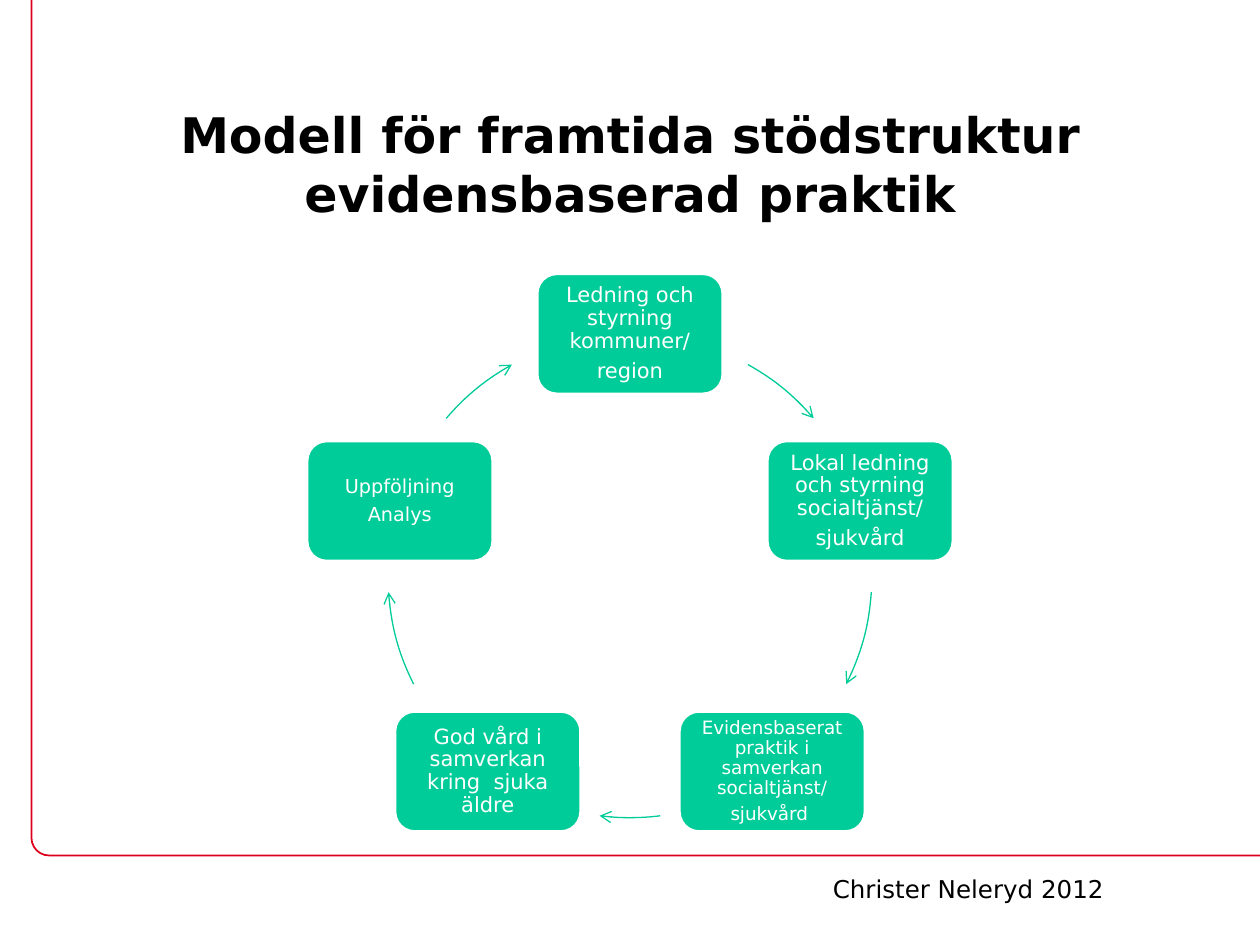
from math import cos, radians, sin

from lxml.etree import SubElement
from pptx import Presentation
from pptx.dml.color import RGBColor
from pptx.enum.shapes import MSO_SHAPE
from pptx.enum.text import MSO_ANCHOR, PP_ALIGN
from pptx.oxml.ns import qn
from pptx.util import Inches, Pt

GREEN, RED, WHITE, BLACK = "00CC99", "DC001A", "FFFFFF", "000000"
CENTER_X, CENTER_Y, RADIUS = 5, 4.57, 1.92
NODE_WIDTH, NODE_HEIGHT = 1.48, 0.96

# Steps of the cycle, clockwise from the top: text size and paragraphs
STEPS = [
    (12, ["Ledning och styrning kommuner/", "region"]),
    (12, ["Lokal ledning och styrning socialtjänst/", "sjukvård"]),
    (10.5, ["Evidensbaserat praktik i samverkan socialtjänst/", "sjukvård "]),
    (12, ["God vård i samverkan kring  sjuka äldre"]),
    (11, ["Uppföljning", "Analys"]),
]
# Start and end angle of the arrow after each step, in degrees
ARROWS = [(299.2, 319.4), (3.9, 26.6), (82.8, 97.2), (153.4, 176.1), (220.6, 240.8)]


def color(value):
    """Turn a hex string into a colour."""
    return RGBColor.from_string(value)


def set_all(target, values):
    """Set every attribute in a dict of format values."""
    for name, value in values.items():
        setattr(target, name, value)


class SlideBuilder:
    """Holds the style and the current slide."""

    font = "DejaVu Sans"

    def __init__(self, slide):
        self.slide = slide

    def shape(self, kind, box, fill=None, line=RED, width=1):
        """Add a preset shape without shadow."""
        shape = self.slide.shapes.add_shape(kind, *map(Inches, box))
        shape.shadow.inherit = False
        if fill:
            shape.fill.solid()
            shape.fill.fore_color.rgb = color(fill)
        else:
            shape.fill.background()
        shape.line.color.rgb = color(line)
        shape.line.width = Pt(width)
        return shape

    def fill_text(self, shape, texts, frame_format, paragraph_format, size, ink, bold=False):
        """Fill a shape with one paragraph for each text."""
        frame = shape.text_frame
        set_all(frame, {"word_wrap": True, **frame_format})
        for index, text in enumerate(texts):
            paragraph = frame.add_paragraph() if index else frame.paragraphs[0]
            set_all(paragraph, paragraph_format)
            run = paragraph.add_run()
            run.text = text
            set_all(run.font, {"name": self.font, "size": Pt(size), "bold": bold})
            run.font.color.rgb = color(ink)

    def text(self, box, text, size, align, anchor=MSO_ANCHOR.TOP, bold=False):
        """Add a text box."""
        shape = self.slide.shapes.add_textbox(*map(Inches, box))
        self.fill_text(shape, [text], {"vertical_anchor": anchor},
                       {"alignment": align}, size, BLACK, bold)

    def node(self, angle, size, texts):
        """Add a rounded box centred on the circle at an angle."""
        left = CENTER_X + RADIUS * cos(radians(angle)) - NODE_WIDTH / 2
        top = CENTER_Y + RADIUS * sin(radians(angle)) - NODE_HEIGHT / 2
        shape = self.shape(MSO_SHAPE.ROUNDED_RECTANGLE,
                           (left, top, NODE_WIDTH, NODE_HEIGHT), GREEN, WHITE, 2)
        margins = dict.fromkeys(
            ("margin_left", "margin_right", "margin_top", "margin_bottom"), 0)
        self.fill_text(shape, texts, {"vertical_anchor": MSO_ANCHOR.MIDDLE, **margins},
                       {"alignment": PP_ALIGN.CENTER, "line_spacing": 0.9,
                        "space_after": Pt(0.35 * size)}, size, WHITE)

    def arrow(self, start, end):
        """Add a clockwise arc on the circle with an arrowhead."""
        box = (CENTER_X - RADIUS, CENTER_Y - RADIUS, 2 * RADIUS, 2 * RADIUS)
        arc = self.shape(MSO_SHAPE.ARC, box, line=GREEN, width=0.75)
        for index, angle in enumerate((start, end)):
            arc.adjustments[index] = angle * 0.6  # 60000 units per degree
        line = arc.element.spPr.find(qn("a:ln"))
        SubElement(line, qn("a:tailEnd"), type="arrow")


def main():
    """Build the slide and save it."""
    presentation = Presentation()
    presentation.slide_width, presentation.slide_height = Inches(10), Inches(7.5)
    builder = SlideBuilder(presentation.slides.add_slide(presentation.slide_layouts[6]))

    frame = builder.shape(MSO_SHAPE.ROUNDED_RECTANGLE, (0.25, -0.17, 9.92, 6.96))
    frame.adjustments[0] = 0.02
    builder.text((0.75, 0.67, 8.5, 1.25),
                 "Modell för framtida stödstruktur evidensbaserad praktik",
                 28, PP_ALIGN.CENTER, MSO_ANCHOR.MIDDLE, True)
    for index, ((size, texts), angles) in enumerate(zip(STEPS, ARROWS)):
        builder.node(-90 + index * 360 / len(STEPS), size, texts)
        builder.arrow(*angles)
    builder.text((5.86, 6.89, 3, 0.34), "Christer Neleryd 2012", 14, PP_ALIGN.RIGHT)

    presentation.save("out.pptx")


main()
